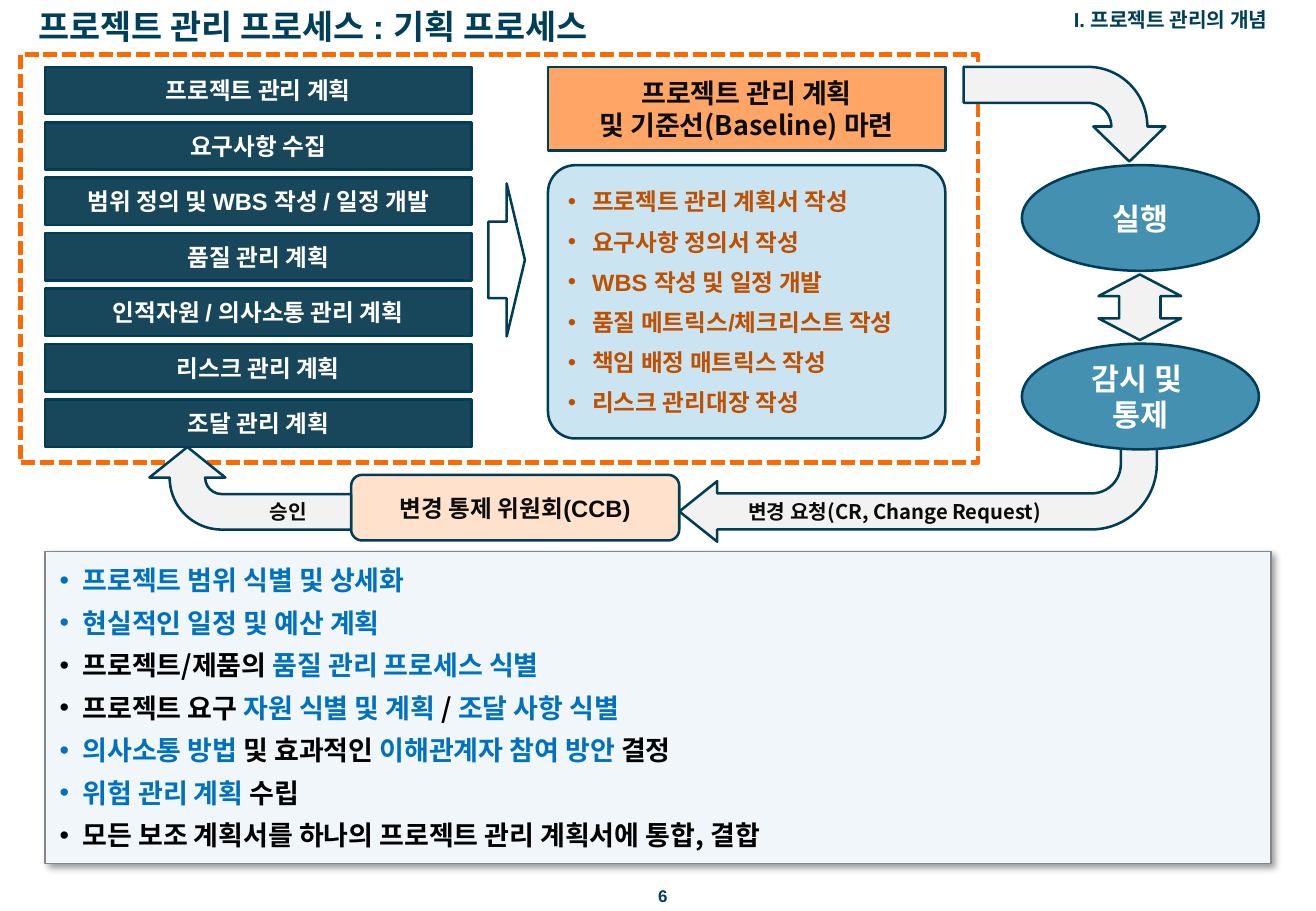
from dataclasses import dataclass

from lxml.etree import SubElement
from pptx import Presentation
from pptx.dml.color import RGBColor
from pptx.enum.dml import MSO_LINE_DASH_STYLE as Dash
from pptx.enum.shapes import MSO_SHAPE as Shape
from pptx.enum.text import MSO_ANCHOR as Anchor, PP_ALIGN as Align
from pptx.oxml.ns import qn
from pptx.util import Inches, Pt


@dataclass(frozen=True)
class Theme:
    """Colours, fonts and type sizes of the slide."""
    navy: str = "003F59"
    outline: str = "003E57"
    step: str = "18475C"
    oval: str = "4390B1"
    arrow: str = "F2F2F2"
    orange: str = "FF6A00"
    baseline: str = "FFA666"
    board: str = "FFE1CC"
    outputs: str = "CAE4F1"
    output_text: str = "BF5000"
    panel: str = "F0F6F9"
    panel_line: str = "868686"
    blue: str = "0070C0"
    black: str = "000000"
    ink: str = "0C0C0C"
    white: str = "FFFFFF"
    latin: str = "Arial"
    korean: str = "Noto Sans CJK KR"
    title: int = 20
    stage: int = 18
    heading: int = 16
    body: int = 14
    label: int = 12
    number: int = 10


class ProcessSlide:
    """Draws styled elements on one slide."""

    def __init__(self, presentation, theme):
        self.theme = theme
        self.slide = presentation.slides.add_slide(presentation.slide_layouts[6])

    def fill_text(self, shape, paragraphs, size, color, font=None, align=Align.CENTER,
                  before=0, after=0, indent=0, margins=(0.1, 0.05), anchor=Anchor.MIDDLE,
                  wrap=True):
        """Fill a shape with paragraphs, each a list of (text, colour) runs or a string."""
        frame = shape.text_frame
        frame.word_wrap = wrap
        frame.vertical_anchor = anchor
        frame.margin_left = frame.margin_right = Inches(margins[0])
        frame.margin_top = frame.margin_bottom = Inches(margins[1])
        for index, content in enumerate(paragraphs):
            paragraph = frame.paragraphs[0] if index == 0 else frame.add_paragraph()
            paragraph.alignment = align
            paragraph.space_before, paragraph.space_after = Pt(before), Pt(after)
            if indent:
                self.bullet(paragraph, indent)
            paragraph.font.name = font or self.theme.latin
            paragraph.font.size = Pt(size)
            paragraph.font.bold = True
            if isinstance(content, str):
                paragraph.text = content
                paragraph.font.color.rgb = RGBColor.from_string(color)
            else:
                for text, run_color in content:
                    run = paragraph.add_run()
                    run.text = text
                    run.font.color.rgb = RGBColor.from_string(run_color)

    def bullet(self, paragraph, indent):
        """Give a paragraph a hanging bullet."""
        properties = paragraph._p.get_or_add_pPr()
        properties.set("marL", str(Inches(indent)))
        properties.set("indent", str(-Inches(indent)))
        SubElement(properties, qn("a:buFont"), typeface="Arial")
        SubElement(properties, qn("a:buChar"), char="•")

    def shape(self, kind, box, fill=None, line=None, width=1.5, rotation=0, adjust=()):
        """Add a preset shape without a shadow."""
        shape = self.slide.shapes.add_shape(kind, *map(Inches, box))
        shape.shadow.inherit = False
        shape.rotation = rotation
        for index, value in enumerate(adjust):
            shape.adjustments[index] = value
        if fill:
            shape.fill.solid()
            shape.fill.fore_color.rgb = RGBColor.from_string(fill)
        else:
            shape.fill.background()
        shape.line.color.rgb = RGBColor.from_string(line or self.theme.outline)
        shape.line.width = Pt(width)
        return shape

    def box(self, kind, box, fill, text, size, color, font=None, adjust=()):
        """Add a shape with one centred paragraph."""
        shape = self.shape(kind, box, fill, adjust=adjust)
        self.fill_text(shape, [text], size, color, font, before=size / 2)

    def text(self, box, text, size, color, **style):
        """Add a text box with one paragraph."""
        shape = self.slide.shapes.add_textbox(*map(Inches, box))
        self.fill_text(shape, [text], size, color, anchor=Anchor.TOP, **style)

    def panel(self, box, paragraphs):
        """Add the summary panel with its soft shadow."""
        theme = self.theme
        shape = self.shape(Shape.RECTANGLE, box, theme.panel, theme.panel_line, 0.75)
        effects = shape._element.spPr.find(qn("a:effectLst"))
        shadow = SubElement(effects, qn("a:outerShdw"), blurRad=str(Pt(4)), dist=str(Pt(3)),
                            dir="2700000", algn="tl", rotWithShape="0")
        color = SubElement(shadow, qn("a:srgbClr"), val=theme.black)
        SubElement(color, qn("a:alpha"), val="40000")
        self.fill_text(shape, paragraphs, theme.heading, theme.black, theme.korean, Align.LEFT,
                       before=6, indent=0.19, margins=(0.12, 0.08))


def main():
    """Build and save the planning process slide."""
    theme = Theme()
    presentation = Presentation()
    presentation.slide_width, presentation.slide_height = Inches(10.83), Inches(7.5)
    page = ProcessSlide(presentation, theme)

    page.text((5.37, 7.29, 0.17, 0.17), "6", theme.number, theme.navy, margins=(0, 0), wrap=False)
    page.text((0.22, 0.05, 5.92, 0.34), "프로젝트 관리 프로세스 : 기획 프로세스", theme.title,
              theme.navy, align=Align.LEFT, margins=(0.1, 0))
    page.text((6.48, 0.06, 4.05, 0.2), "I. 프로젝트 관리의 개념", theme.label, theme.navy,
              align=Align.RIGHT, margins=(0.1, 0))

    blue, black = theme.blue, theme.black
    page.panel((0.37, 4.54, 10.09, 2.57), [
        [("프로젝트 범위 식별 및 상세화", blue)],
        [("현실적인 일정 및 예산 계획", blue)],
        [("프로젝트/제품의 ", black), ("품질 관리 프로세스 식별", blue)],
        [("프로젝트 요구 ", black), ("자원 식별 및 계획 ", blue), ("/ ", black),
         ("조달 사항 식별", blue)],
        [("의사소통 방법", blue), (" 및 효과적인 ", black),
         ("이해관계자 참여 방안 ", blue), ("결정", black)],
        [("위험 관리 계획 ", blue), ("수립", black)],
        [("모든 보조 계획서를 하나의 프로젝트 관리 계획서에 통합, 결합", black)],
    ])

    steps = ["프로젝트 관리 계획", "요구사항 수집", "범위 정의 및 WBS 작성 / 일정 개발",
             "품질 관리 계획", "인적자원 / 의사소통 관리 계획", "리스크 관리 계획", "조달 관리 계획"]
    step_pitch = (3.29 - 0.55) / (len(steps) - 1)
    for index, step in enumerate(steps):
        page.box(Shape.RECTANGLE, (0.37, 0.55 + index * step_pitch, 3.51, 0.39), theme.step,
                 step, theme.body, theme.white)

    outputs = page.shape(Shape.ROUNDED_RECTANGLE, (4.51, 1.36, 3.27, 2.25), theme.outputs,
                         adjust=[0.1])
    page.fill_text(outputs, ["프로젝트 관리 계획서 작성", "요구사항 정의서 작성",
                             "WBS 작성 및 일정 개발", "품질 메트릭스/체크리스트 작성",
                             "책임 배정 매트릭스 작성", "리스크 관리대장 작성"],
                   theme.body, theme.output_text, align=Align.LEFT, before=theme.body / 2,
                   indent=0.2)
    page.box(Shape.RECTANGLE, (4.51, 0.55, 3.27, 0.69), theme.baseline,
             "프로젝트 관리 계획\v및 기준선(Baseline) 마련", theme.heading, theme.ink, theme.korean)
    page.shape(Shape.DOWN_ARROW, (3.54, 1.99, 1.26, 0.3), rotation=270)
    page.box(Shape.ROUNDED_RECTANGLE, (2.89, 3.91, 2.7, 0.54), theme.board,
             "변경 통제 위원회(CCB)", theme.body, theme.ink)

    page.shape(Shape.RECTANGLE, (0.17, 0.45, 7.88, 3.36), line=theme.orange,
               width=2.75).line.dash_style = Dash.SQUARE_DOT
    for box, rotation, adjust in [
        ((5.59, 3.68, 3.93, 0.78), 180, (0.38, 0.32, 0.4, 0.69)),
        ((8.37, 0.11, 0.78, 1.66), 90, (0.38, 0.38, 0.37, 0.65)),
        ((1.72, 3.19, 0.68, 1.66), 270, (0.43, 0.46, 0.37, 0.65)),
    ]:
        page.shape(Shape.BENT_ARROW, box, theme.arrow, rotation=rotation, adjust=adjust)
    for box, label, wrap in [
        ((6.06, 4.06, 3.1, 0.3), "변경 요청(CR, Change Request)", True),
        ((2.12, 4.06, 0.54, 0.3), "승인", False),
    ]:
        page.text(box, label, theme.label, theme.ink, font=theme.korean, align=Align.LEFT,
                  before=theme.label * 0.2, after=theme.label * 0.05, wrap=wrap)

    for top, stage in [(1.36, "실행"), (2.83, "감시 및 \v통제")]:
        page.box(Shape.OVAL, (8.41, top, 1.95, 0.87), theme.oval, stage, theme.stage, theme.white)
    page.shape(Shape.LEFT_RIGHT_ARROW, (9.11, 2.19, 0.54, 0.68), theme.arrow, rotation=90,
               adjust=(0.5, 0.33))

    presentation.save("out.pptx")


if __name__ == "__main__":
    main()
